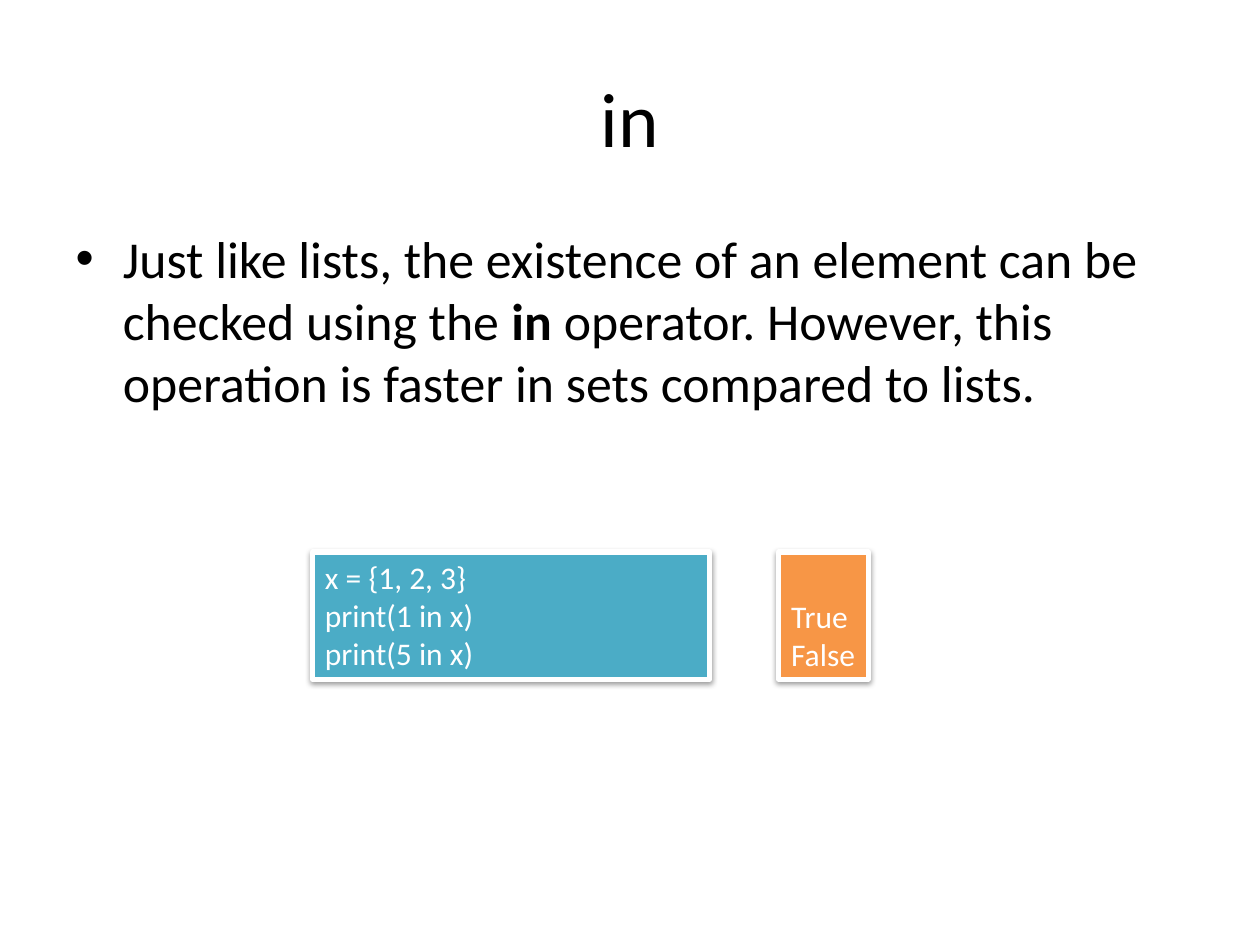
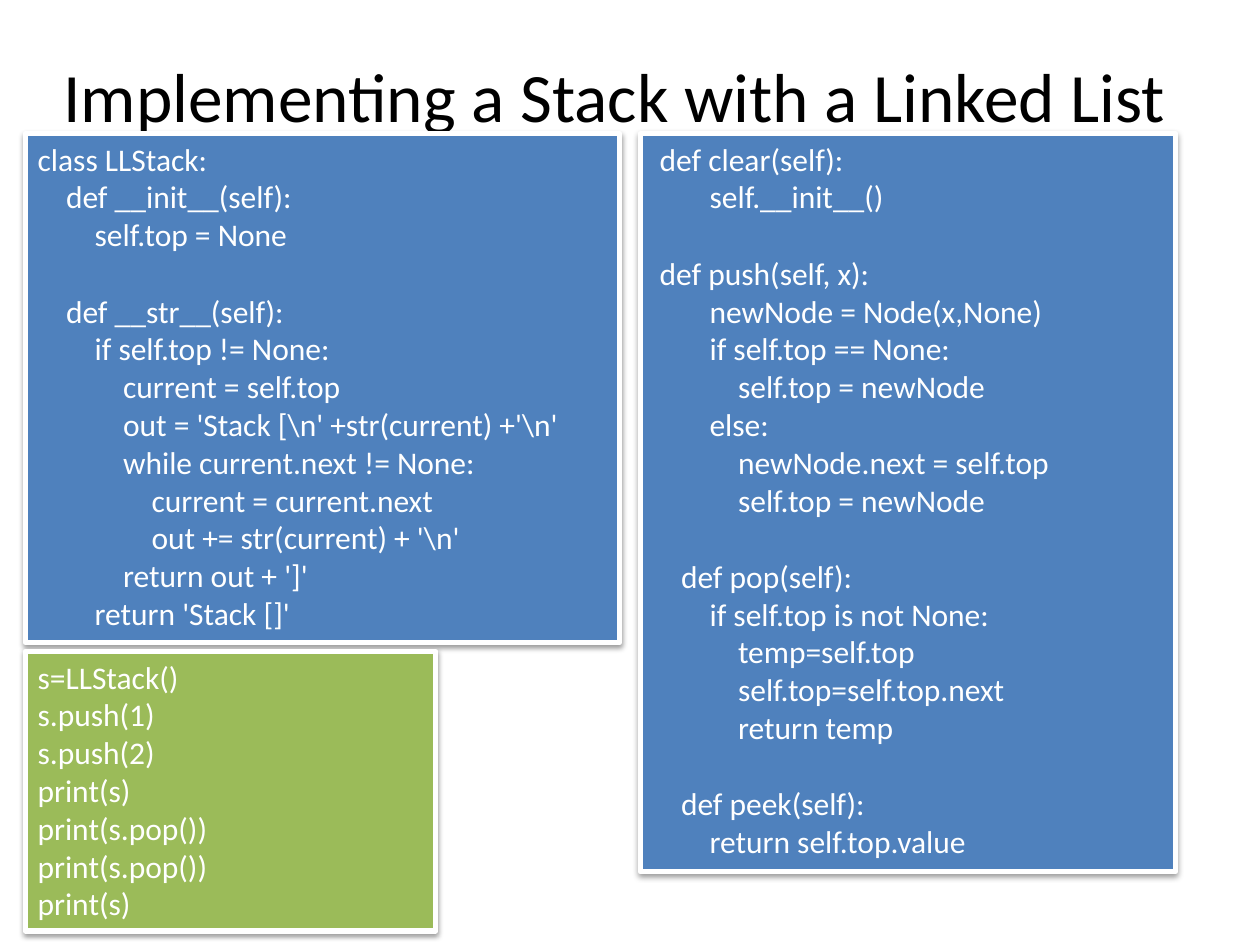
from dataclasses import dataclass

from lxml.etree import SubElement
from pptx import Presentation
from pptx.dml.color import RGBColor
from pptx.enum.shapes import MSO_SHAPE
from pptx.enum.text import MSO_ANCHOR, MSO_AUTO_SIZE, PP_ALIGN
from pptx.oxml.ns import qn
from pptx.util import Pt


@dataclass(frozen=True)
class Theme:
    """Colours, font and type sizes shared by the slides."""
    font: str = "Calibri"
    text: RGBColor = RGBColor(0x00, 0x00, 0x00)
    light: RGBColor = RGBColor(0xFF, 0xFF, 0xFF)
    blue: RGBColor = RGBColor(0x4F, 0x81, 0xBD)
    green: RGBColor = RGBColor(0x9B, 0xBB, 0x59)
    teal: RGBColor = RGBColor(0x4B, 0xAC, 0xC6)
    orange: RGBColor = RGBColor(0xF7, 0x96, 0x46)
    title_size: float = 44
    long_title_size: float = 39.6
    body_size: float = 29.6
    code_size: float = 18
    code_line: float = 21.97   # height of one code line
    code_column: float = 4.07  # width of one column of code indent
    border: float = 3


THEME = Theme()
TITLE_AND_CONTENT, TITLE_ONLY = 1, 5

MEMBERSHIP_CODE = """\
x = {1, 2, 3}
print(1 in x)
print(5 in x)"""

MEMBERSHIP_OUTPUT = """\
True
False"""

STACK_CODE = r"""class LLStack:
    def __init__(self):
        self.top = None

    def __str__(self):
        if self.top != None:
            current = self.top
            out = 'Stack [\n' +str(current) +'\n'
            while current.next != None:
                current = current.next
                out += str(current) + '\n'
            return out + ']'
        return 'Stack []'"""

METHODS_CODE = """\
 def clear(self):
        self.__init__()

 def push(self, x):
        newNode = Node(x,None)
        if self.top == None:
            self.top = newNode
        else:
            newNode.next = self.top
            self.top = newNode

    def pop(self):
        if self.top is not None:
            temp=self.top
            self.top=self.top.next
            return temp

    def peek(self):
        return self.top.value"""

USAGE_CODE = """\
s=LLStack()
s.push(1)
s.push(2)
print(s)
print(s.pop())
print(s.pop())
print(s)"""


def place(shape, box):
    """Move a shape to a box of left, top, width and height in points."""
    shape.left, shape.top, shape.width, shape.height = map(Pt, box)


def style(paragraph, size, color):
    """Give a paragraph the theme font with a size and colour."""
    paragraph.font.name = THEME.font
    paragraph.font.size = Pt(size)
    paragraph.font.color.rgb = color


def set_title(slide, text, box, size=THEME.title_size):
    """Fill the title placeholder with one centred line."""
    title = slide.shapes.title
    place(title, box)
    frame = title.text_frame
    frame.text = text
    frame.auto_size = MSO_AUTO_SIZE.NONE
    frame.vertical_anchor = MSO_ANCHOR.MIDDLE
    frame.paragraphs[0].alignment = PP_ALIGN.CENTER
    style(frame.paragraphs[0], size, THEME.text)


def set_body(slide, runs, box):
    """Fill the body placeholder with one bullet of (text, bold) runs."""
    body = slide.placeholders[1]
    place(body, box)
    body.text_frame.auto_size = MSO_AUTO_SIZE.NONE
    paragraph = body.text_frame.paragraphs[0]
    style(paragraph, THEME.body_size, THEME.text)
    for text, bold in runs:
        run = paragraph.add_run()
        run.text = text
        run.font.bold = bold


def add_soft_shadow(shape):
    """Put a faint shadow just below a shape."""
    shape.shadow.inherit = False
    effects = shape._element.spPr.find(qn("a:effectLst"))
    shadow = SubElement(effects, qn("a:outerShdw"), blurRad=str(Pt(3.15)),
                        dist=str(Pt(1.57)), dir="5400000", rotWithShape="0")
    color = SubElement(shadow, qn("a:srgbClr"), val=str(THEME.text))
    SubElement(color, qn("a:alpha"), val="38000")


def write_code(frame, code):
    """Write code with margins for indents and spacing for empty lines."""
    gap = 0
    paragraph = None
    for line in code.splitlines():
        text = line.lstrip()
        if not text:
            gap += THEME.code_line
            continue
        paragraph = frame.add_paragraph() if paragraph else frame.paragraphs[0]
        paragraph.text = text
        paragraph.alignment = PP_ALIGN.LEFT
        paragraph.space_before = Pt(gap)
        columns = len(line) - len(text)
        margin = Pt(columns * THEME.code_column)
        paragraph._p.get_or_add_pPr().set("marL", str(margin))
        style(paragraph, THEME.code_size, THEME.light)
        gap = 0


def add_code_box(slide, code, box, fill, anchor=MSO_ANCHOR.TOP, wrap=True):
    """Add a white-bordered panel of code or output."""
    shape = slide.shapes.add_shape(MSO_SHAPE.RECTANGLE, *map(Pt, box))
    shape.fill.solid()
    shape.fill.fore_color.rgb = fill
    shape.line.color.rgb = THEME.light
    shape.line.width = Pt(THEME.border)
    add_soft_shadow(shape)
    frame = shape.text_frame
    frame.word_wrap = wrap
    frame.auto_size = MSO_AUTO_SIZE.NONE
    frame.vertical_anchor = anchor
    write_code(frame, code)


def build_membership_slide(presentation):
    """Build the slide on the in operator, with code and its output."""
    layout = presentation.slide_layouts[TITLE_AND_CONTENT]
    slide = presentation.slides.add_slide(layout)
    set_title(slide, "in", (36, 21.6, 648, 90))
    set_body(slide, [
        ("Just like lists, the existence of an element can be checked "
         "using the ", False),
        ("in", True),
        (" operator. However, this operation is faster in sets compared "
         "to lists.", False),
    ], (36, 126, 648, 98.6))
    top, height = 315.4, 72.7
    add_code_box(slide, MEMBERSHIP_CODE, (178.6, top, 226.8, height),
                 THEME.teal)
    add_code_box(slide, MEMBERSHIP_OUTPUT, (445, top, 51.1, height),
                 THEME.orange, MSO_ANCHOR.BOTTOM, wrap=False)


def build_stack_slide(presentation):
    """Build the slide on the linked stack, with three code panels."""
    layout = presentation.slide_layouts[TITLE_ONLY]
    slide = presentation.slides.add_slide(layout)
    set_title(slide, "Implementing a Stack with a Linked List",
              (0, 9.4, 702.7, 90), THEME.long_title_size)
    left, top = 14.4, 76.3
    add_code_box(slide, STACK_CODE, (left, top, 339.8, 290.9), THEME.blue)
    add_code_box(slide, METHODS_CODE, (365.8, top, 306, 421.9), THEME.blue)
    add_code_box(slide, USAGE_CODE, (left, 372.2, 234.7, 159.8), THEME.green)


presentation = Presentation()
presentation.slide_width, presentation.slide_height = Pt(720), Pt(540)
build_membership_slide(presentation)
build_stack_slide(presentation)
presentation.save("out.pptx")
